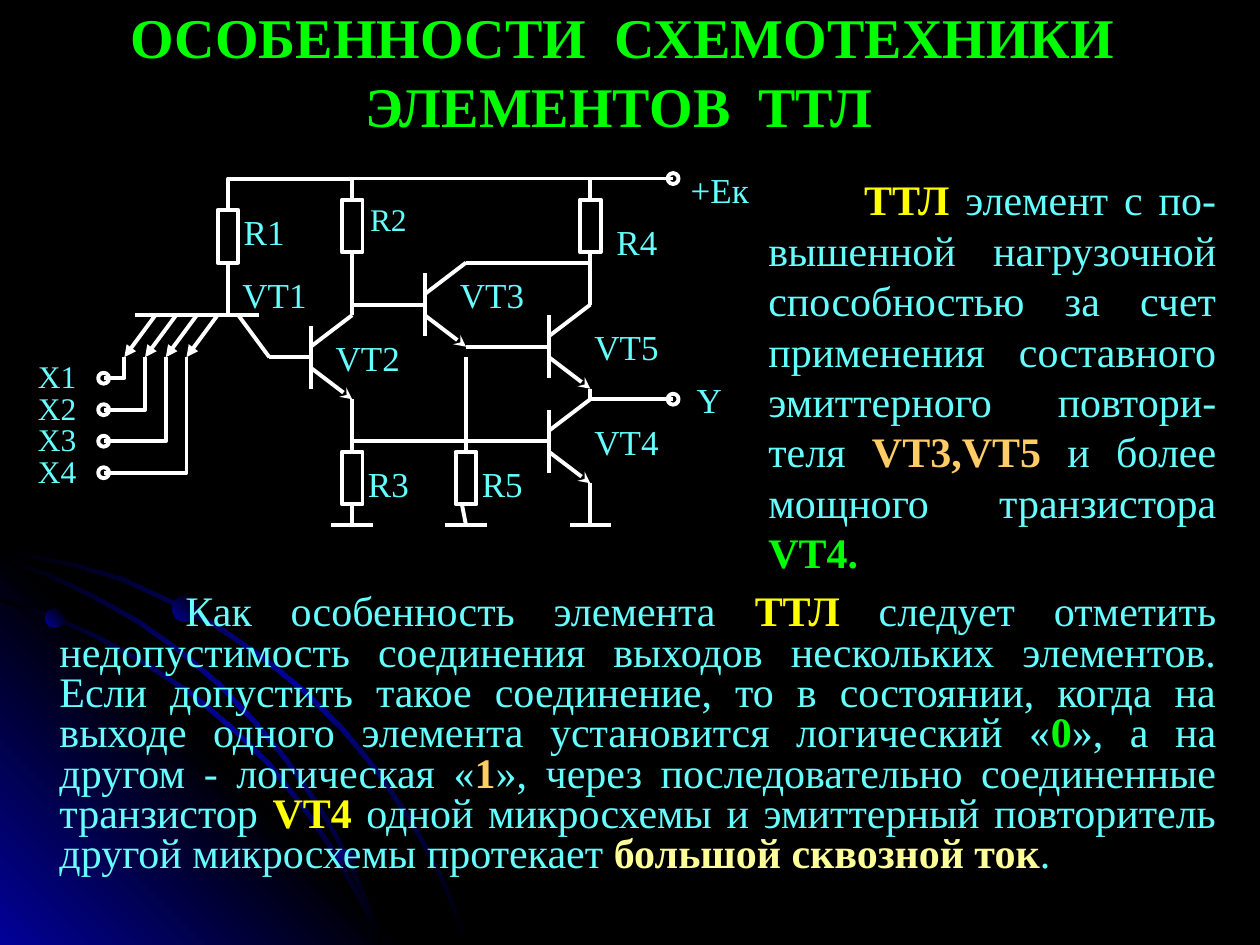
import copy
import pptx
import pptx.dml.color
import pptx.enum.shapes
import pptx.enum.text
import pptx.oxml
import pptx.oxml.ns
import pptx.util

Cm, Pt = pptx.util.Cm, pptx.util.Pt
KIND = pptx.enum.shapes.MSO_SHAPE
ALIGN = pptx.enum.text.PP_ALIGN
SERIF = "Times New Roman"
HUES = {"black": "000000", "blue": "010199", "white": "FFFFFF", "cyan": "66FFFF",
        "green": "00FF00", "yellow": "FFFF00", "orange": "FFCC66",
        "cream": "FFFF99", "gray": "B2B2B2"}

# Texts: (words, colour); every colour but cyan is bold
TITLE = "ОСОБЕННОСТИ  СХЕМОТЕХНИКИ  ЭЛЕМЕНТОВ  ТТЛ"
ASIDE = [("ТТЛ ", "yellow"),
         ("элемент с по-вышенной нагрузочной способностью за счет применения "
          "составного эмиттерного повтори-теля ", "cyan"),
         ("VT3,VT5", "orange"),
         (" и более мощного транзистора ", "cyan"),
         ("VT4.", "green")]
BODY = [("Как особенность элемента ", "cyan"), ("ТТЛ", "yellow"),
        (" следует отметить недопустимость соединения выходов нескольких элементов. "
         "Если допустить такое соединение, то в состоянии, когда на выходе одного "
         "элемента установится логический «", "cyan"),
        ("0", "green"), ("», а на другом - логическая «", "cyan"), ("1", "orange"),
        ("», через последовательно соединенные транзистор ", "cyan"), ("VT4", "yellow"),
        (" одной микросхемы и эмиттерный повторитель другой микросхемы протекает ", "cyan"),
        ("большой сквозной ток", "cream"), (".", "cyan")]

# Backdrop, in cm
ARCS = [
    [(0, 11.09), (1.45, 11.38), (2.48, 11.68), (3.44, 12.13), (4.41, 12.65),
     (5.3, 13.26), (6.13, 13.93), (6.9, 14.69), (7.59, 15.53), (8.23, 16.47),
     (8.59, 17.09), (8.92, 17.73), (9.17, 18.36), (9.42, 19.02)],
    [(0, 12.09), (1.02, 12.42), (1.98, 12.85), (2.95, 13.39), (3.84, 13.97),
     (4.66, 14.66), (5.44, 15.42), (6.12, 16.28), (6.74, 17.18), (7.25, 18.11),
     (7.49, 18.57), (7.67, 19.02)],
    [(0, 11.25), (0.95, 11.58), (1.91, 12.04), (2.79, 12.53), (3.63, 13.13),
     (4.42, 13.8), (5.16, 14.58), (5.79, 15.34), (6.43, 16.26), (6.81, 16.92),
     (7.14, 17.61), (7.44, 18.31), (7.67, 19.02)]]
WEDGE = [(8.18, 19.05), (0, 19.05), (0, 10.85)]
DOTS = [(0.91, 12.27, 0.38, 135), (6.78, 17.12, 0.41, 225), (3.48, 12.01, 0.53, 135)]

# Circuit, in grid steps from the left end of the inputs and the supply rail
LEFT, TOP = 2.09, 3.6
STEP_X, STEP_Y = 11.48 / 27.5, 6.99 / 33
RESIST = [(6, 3), (12, 2), (23.5, 2), (12, 26), (17.5, 26)]
TRANS = [(9, 17), (14.5, 12), (20.5, 25), (20.5, 16)]
WIRES = [((17.5, 17), (17.5, 26)), ((23.5, 21), (27.5, 21)), ((12, 7), (12, 13)),
         ((12, 21), (12, 26)), ((20.5, 25), (12, 25)), ((14.5, 12), (12, 12)),
         ((23.5, 2), (23.5, 0)), ((7.5, 13), (1.5, 13)), ((6.5, 13), (8, 17)),
         ((6, 11), (6, 13)), ((6, 8), (6, 11)), ((8, 17), (9, 17)),
         ((12, 31), (12, 33)), ((17.3, 31), (17.5, 33)), ((20.5, 16), (17.5, 16)),
         ((23.5, 7), (23.5, 12)), ((17.5, 8), (23.5, 8)), ((23.5, 20), (23.5, 21)),
         ((23.5, 29), (23.5, 33))]
GROUND = [12, 17.5, 23.5]
RAILS = [[(6, 3), (6, 0), (12, 0)], [(12, 2), (12, 0), (27.5, 0)]]
PINS = [(27.5, 21), (27.5, 0)]
LABELS = [("R1", 6.5, 3, 20), ("R2", 12.5, 2, 18), ("R3", 12.5, 27, 20),
          ("R4", 24.5, 4, 20), ("R5", 18, 27, 20), ("VT1", 6.5, 9, 20),
          ("VT2", 11, 15, 20), ("VT3", 17, 9, 20), ("VT4", 23.5, 23, 20),
          ("VT5", 23.5, 14, 20), ("+Ек", 28, -1, 20), ("Y", 28, 19, 20)]
INPUTS = ["X1", "X2", "X3", "X4"]

deck = pptx.Presentation()
deck.slide_width, deck.slide_height = Cm(25.4), Cm(19.05)
slide = deck.slides.add_slide(deck.slide_layouts[5])
shapes = slide.shapes


def hue(name):
    return pptx.dml.color.RGBColor.from_string(HUES[name])


def spot(x, y):
    return Cm(LEFT + x * STEP_X), Cm(TOP + y * STEP_Y)


def shade(shape, names, angle):
    """Linear gradient with evenly spaced stops, angle clockwise."""
    shape.shadow.inherit = False
    shape.line.fill.background()
    shape.fill.gradient()
    shape.fill.gradient_angle = 360 - angle
    stops = shape._element.spPr.find(".//" + pptx.oxml.ns.qn("a:gsLst"))
    for _ in names[2:]:
        stops.append(copy.deepcopy(stops[0]))
    for i, (stop, name) in enumerate(zip(shape.fill.gradient_stops, names)):
        stop.color.rgb = hue(name)
        stop.position = i / (len(names) - 1)


def trace(points, close):
    build = shapes.build_freeform(*points[0])
    build.add_line_segments(points[1:], close=close)
    return build.convert_to_shape()


def stroke(shape):
    shape.line.color.rgb = hue("white")
    shape.line.width = Pt(2.25)


def hollow(shape):
    shape.shadow.inherit = False
    shape.fill.background()
    stroke(shape)
    return shape


def ring(x, y):
    cx, cy = spot(x, y)
    half = Cm(0.11)
    hollow(shapes.add_shape(KIND.OVAL, cx - half, cy - half, 2 * half, 2 * half))


joints = {}


def wire(start, end, head=None):
    line = shapes.add_connector(pptx.enum.shapes.MSO_CONNECTOR.STRAIGHT,
                                *spot(*start), *spot(*end))
    if start in joints:
        line.begin_connect(*joints[start])
    if end in joints:
        line.end_connect(*joints[end])
    stroke(line)
    if head:
        tip = pptx.oxml.parse_xml(f'<a:tailEnd {pptx.oxml.ns.nsdecls("a")} type="{head}"/>')
        line.line._get_or_add_ln().append(tip)
    line._element.spPr.append(
        pptx.oxml.parse_xml(f'<a:effectLst {pptx.oxml.ns.nsdecls("a")}/>'))


def style(run, size, name, bold=False, face=SERIF):
    run.font.size, run.font.name, run.font.bold = Pt(size), face, bold
    run.font.color.rgb = hue(name)


def label(text, x, y, size):
    box = shapes.add_textbox(*spot(x, y), Cm((2.5 if len(text) < 3 else 3.5) * STEP_X),
                             Cm(4 * STEP_Y))
    frame = box.text_frame
    frame.margin_left = frame.margin_right = frame.margin_top = frame.margin_bottom = 0
    frame.word_wrap = True
    frame.text = text
    frame.paragraphs[0].alignment = ALIGN.CENTER
    style(frame.paragraphs[0].runs[0], size, "cyan")


def prose(parts, place, margin, indent, spacing):
    frame = shapes.add_textbox(*map(Cm, place)).text_frame
    frame.word_wrap = True
    para = frame.paragraphs[0]
    para.alignment, para.line_spacing = ALIGN.JUSTIFY, spacing
    props = para._p.get_or_add_pPr()
    props.set("marL", str(Cm(margin)))
    props.set("indent", str(Cm(indent)))
    for words, name in parts:
        run = para.add_run()
        run.text = words
        style(run, 24, name, name != "cyan")


# Backdrop
slide.background.fill.solid()
slide.background.fill.fore_color.rgb = hue("black")
shade(trace([(Cm(x), Cm(y)) for x, y in WEDGE], True), ["blue", "black", "blue"], 135)
for arc in ARCS:
    upper = [(Cm(x + 0.03), Cm(y - 0.03)) for x, y in arc]
    lower = [(Cm(max(x - 0.03, 0)), Cm(y + 0.03)) for x, y in arc]
    shade(trace(upper + lower[::-1], True), ["black", "blue", "black"], 225)
for x, y, size, angle in DOTS:
    dot = shapes.add_shape(KIND.OVAL, Cm(x), Cm(y), Cm(size), Cm(size))
    shade(dot, ["black", "blue"], angle)

# Title; the large closing space sets the height of its second line
title = shapes.title
title.left, title.top, title.width, title.height = Cm(1.9), Cm(0), Cm(21.59), Cm(3.18)
frame = title.text_frame
frame.text = TITLE
frame.word_wrap = True
frame.auto_size = pptx.enum.text.MSO_AUTO_SIZE.NONE
frame.vertical_anchor = pptx.enum.text.MSO_ANCHOR.MIDDLE
para = frame.paragraphs[0]
para.alignment, para.line_spacing = ALIGN.CENTER, 0.8
style(para.runs[0], 32, "green", True)
tail = para.add_run()
tail.text = " "
style(tail, 44, "gray", face="Arial")

# Resistors, with their ends kept for joining
for x, y in RESIST:
    box = hollow(shapes.add_shape(KIND.RECTANGLE, *spot(x - 0.5, y),
                                  Cm(STEP_X), Cm(5 * STEP_Y)))
    joints[x, y], joints[x, y + 5] = (box, 0), (box, 2)

# Transistors: bar, collector, emitter, base
for x, y in TRANS:
    wire((x + 1, y - 3), (x + 1, y + 3))
    wire((x + 1, y - 1), (x + 3, y - 4))
    wire((x + 1, y + 1), (x + 3, y + 4), "stealth")
    wire((x, y), (x + 1, y))

# Wires, grounds and rails
for start, end in WIRES:
    wire(start, end)
for x in GROUND:
    wire((x - 1, 33), (x + 1, 33))
for rail in RAILS:
    hollow(trace([spot(*point) for point in rail], False))

# Inputs
for i, name in enumerate(INPUTS):
    y = 19 + 3 * i
    wire((i + 2.5, 13), (i + 1, 17), "triangle")
    hollow(trace([spot(i + 1, 17), spot(i + 1, y), spot(0, y)], False))
    ring(0, y)
    label(name, -3.5, y - 2, 18)

# Outputs and labels
for pin in PINS:
    ring(*pin)
for item in LABELS:
    label(*item)

# Running text
prose(ASIDE, (15.24, 3.38, 9.53, 8.38), 0, 1.93, 1.0)
prose(BODY, (0, 11.86, 24.77, 6.55), 0.95, 2.54, 0.8)

deck.save("out.pptx")
